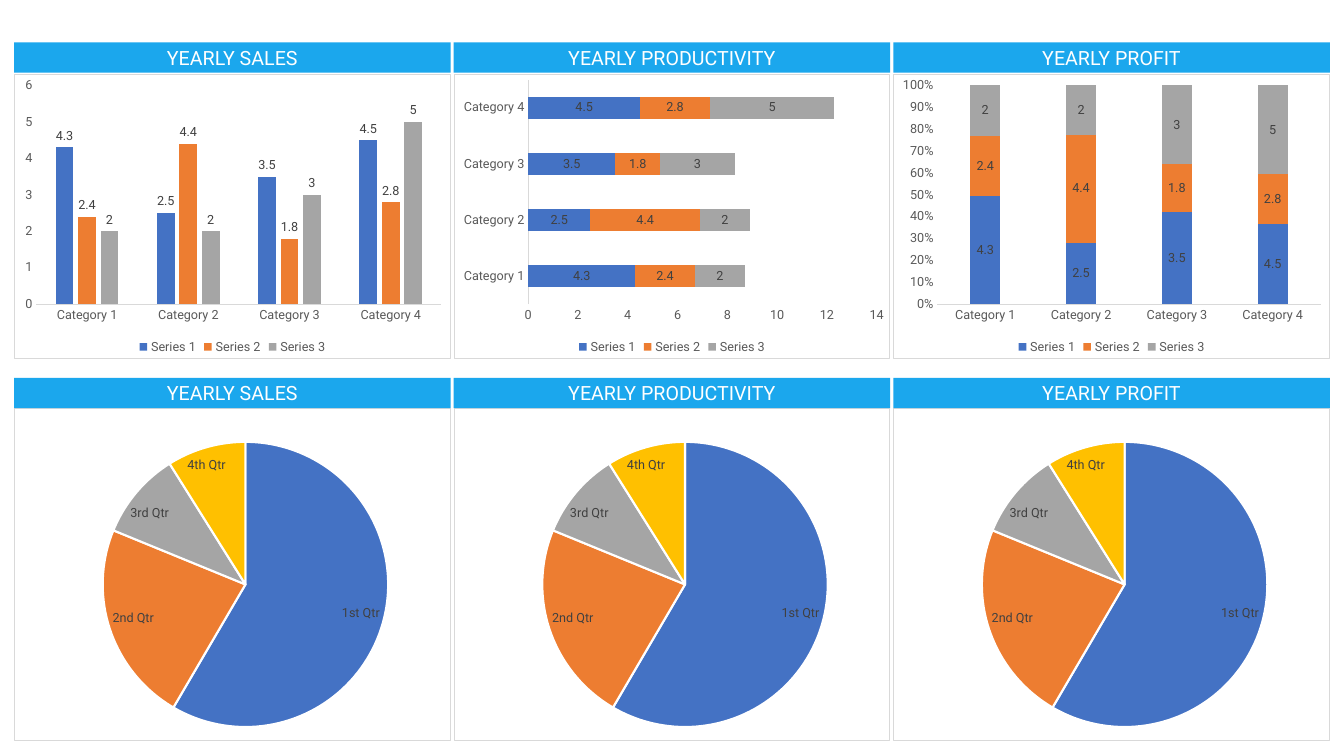
from pptx import Presentation
from pptx.chart.data import CategoryChartData
from pptx.dml.color import RGBColor
from pptx.enum.chart import (XL_CHART_TYPE, XL_LABEL_POSITION,
                             XL_LEGEND_POSITION, XL_TICK_MARK)
from pptx.enum.shapes import MSO_SHAPE
from pptx.enum.text import MSO_ANCHOR, PP_ALIGN
from pptx.oxml import parse_xml
from pptx.oxml.ns import nsdecls, qn
from pptx.util import Inches, Pt

COLUMN = XL_CHART_TYPE.COLUMN_CLUSTERED
BAR = XL_CHART_TYPE.BAR_STACKED
COLUMN_100 = XL_CHART_TYPE.COLUMN_STACKED_100
PIE = XL_CHART_TYPE.PIE
OUTSIDE = XL_LABEL_POSITION.OUTSIDE_END
BOTTOM = XL_LEGEND_POSITION.BOTTOM
NO_TICK = XL_TICK_MARK.NONE
RECT = MSO_SHAPE.RECTANGLE
MIDDLE = MSO_ANCHOR.MIDDLE
CENTER = PP_ALIGN.CENTER

COLORS = {"header": "1BA7ED", "white": "FFFFFF", "black": "000000",
          "axis": "595959", "label": "404040", "rule": "D9D9D9"}
SERIES_COLORS = ["4472C4", "ED7D31", "A5A5A5", "FFC000"]

# Dashboard grid: three columns, two rows of header plus chart
LEFT, STEP, WIDTH, HEADER_H = 0.14, 4.36, 4.33, 0.3
TITLES = ["YEARLY SALES", "YEARLY PRODUCTIVITY", "YEARLY PROFIT"]

CATEGORIES = ["Category 1", "Category 2", "Category 3", "Category 4"]
YEARLY = {"Series 1": [4.3, 2.5, 3.5, 4.5],
          "Series 2": [2.4, 4.4, 1.8, 2.8],
          "Series 3": [2, 2, 3, 5]}
QUARTERS = ["1st Qtr", "2nd Qtr", "3rd Qtr", "4th Qtr"]
SHARES = {"Series 1": [59, 23, 10, 9]}

# Plot area as fractions of the chart: x, y, width, height
PIE_AREA = (0.2, 0.1, 0.66, 0.86)
BAR_CHARTS = [
    {"kind": COLUMN, "gap": 219, "overlap": -27, "position": OUTSIDE,
     "area": (0.05, 0.04, 0.93, 0.77), "top": 6, "unit": 1,
     "number": "General"},
    {"kind": BAR, "gap": 150, "overlap": 100, "position": None,
     "area": (0.17, 0.02, 0.8, 0.79), "top": 14, "unit": 2,
     "number": "General"},
    {"kind": COLUMN_100, "gap": 219, "overlap": 100, "position": None,
     "area": (0.1, 0.04, 0.88, 0.77), "top": 1, "unit": 0.1,
     "number": "0%"},
]


def rgb(color):
    return RGBColor.from_string(COLORS.get(color, color))


def apply(target, values):
    for name, value in values.items():
        setattr(target, name, value)


class Dashboard:
    def __init__(self, prs, font="Roboto"):
        self.s = prs.slides.add_slide(prs.slide_layouts[6])
        self.font_name = font

    def font(self, font, size, color):
        apply(font, {"name": self.font_name, "size": Pt(size)})
        font.color.rgb = rgb(color)

    def header(self, x, y, text):
        sp = self.s.shapes.add_shape(RECT, Inches(x), Inches(y),
                                     Inches(WIDTH), Inches(HEADER_H))
        sp.shadow.inherit = False
        sp.fill.solid()
        sp.fill.fore_color.rgb = rgb("header")
        sp.line.fill.background()
        tf = sp.text_frame
        apply(tf, {"word_wrap": True, "vertical_anchor": MIDDLE})
        p = tf.paragraphs[0]
        p.alignment = CENTER
        r = p.add_run()
        r.text = text
        self.font(r.font, 14, "white")

    def chart(self, kind, x, y, height, categories, series, area):
        data = CategoryChartData()
        data.categories = categories
        for name, values in series.items():
            data.add_series(name, values)
        chart = self.s.shapes.add_chart(
            kind, Inches(x), Inches(y), Inches(WIDTH), Inches(height),
            data).chart
        apply(chart, {"has_title": False, "has_legend": False})
        self.font(chart.font, 9, "black")
        self.frame(chart, area)
        return chart

    def frame(self, chart, area):
        # Thin border around the chart
        root = chart.element.find(qn("c:chart"))
        root.addnext(parse_xml(
            f'<c:spPr {nsdecls("c", "a")}><a:noFill/><a:ln w="{Pt(0.75)}">'
            f'<a:solidFill><a:srgbClr val="{COLORS["rule"]}"/></a:solidFill>'
            '</a:ln></c:spPr>'))
        # Fixed inner plot area
        plot_area = root.find(qn("c:plotArea"))
        for layout in plot_area.findall(qn("c:layout")):
            plot_area.remove(layout)
        sizes = "".join(f'<c:{tag} val="{value}"/>'
                        for tag, value in zip("xywh", area))
        plot_area.insert(0, parse_xml(
            f'<c:layout {nsdecls("c")}><c:manualLayout>'
            '<c:layoutTarget val="inner"/><c:xMode val="edge"/>'
            f'<c:yMode val="edge"/>{sizes}</c:manualLayout></c:layout>'))

    def labels(self, series, shown):
        labels = series.data_labels
        apply(labels, shown)
        self.font(labels.font, 9, "label")

    def bars(self, x, y, style):
        chart = self.chart(style["kind"], x, y, 2.83, CATEGORIES, YEARLY,
                           style["area"])
        # Axes
        for axis in (chart.category_axis, chart.value_axis):
            apply(axis, {"major_tick_mark": NO_TICK,
                         "minor_tick_mark": NO_TICK,
                         "has_major_gridlines": False})
            self.font(axis.tick_labels.font, 9, "axis")
        line = chart.category_axis.format.line
        line.width = Pt(0.75)
        line.color.rgb = rgb("rule")
        axis = chart.value_axis
        axis.format.line.fill.background()
        apply(axis, {"minimum_scale": 0, "maximum_scale": style["top"],
                     "major_unit": style["unit"]})
        apply(axis.tick_labels, {"number_format": style["number"],
                                 "number_format_is_linked": False})
        # Legend
        chart.has_legend = True
        apply(chart.legend, {"position": BOTTOM, "include_in_layout": False})
        self.font(chart.legend.font, 9, "axis")
        # Series
        plot = chart.plots[0]
        apply(plot, {"gap_width": style["gap"], "overlap": style["overlap"],
                     "vary_by_categories": False})
        for series, color in zip(plot.series, SERIES_COLORS):
            series.format.fill.solid()
            series.format.fill.fore_color.rgb = rgb(color)
            self.labels(series, {"show_value": True,
                                 "position": style["position"]})

    def pie(self, x, y):
        chart = self.chart(PIE, x, y, 3.3, QUARTERS, SHARES, PIE_AREA)
        plot = chart.plots[0]
        plot.vary_by_categories = True
        series = plot.series[0]
        for i, color in enumerate(SERIES_COLORS):
            fmt = series.points[i].format
            fmt.fill.solid()
            fmt.fill.fore_color.rgb = rgb(color)
            fmt.line.width = Pt(1.5)
            fmt.line.color.rgb = rgb("white")
        self.labels(series, {"show_value": False,
                             "show_category_name": True})


def main():
    prs = Presentation()
    apply(prs, {"slide_width": Inches(13.33), "slide_height": Inches(7.5)})
    board = Dashboard(prs)
    for i, (title, style) in enumerate(zip(TITLES, BAR_CHARTS)):
        x = LEFT + i * STEP
        # Upper row: bar charts
        board.bars(x, 0.73, style)
        board.header(x, 0.42, title)
        # Lower row: pies
        board.pie(x, 4.05)
        board.header(x, 3.75, title)
    prs.save("out.pptx")


if __name__ == "__main__":
    main()
